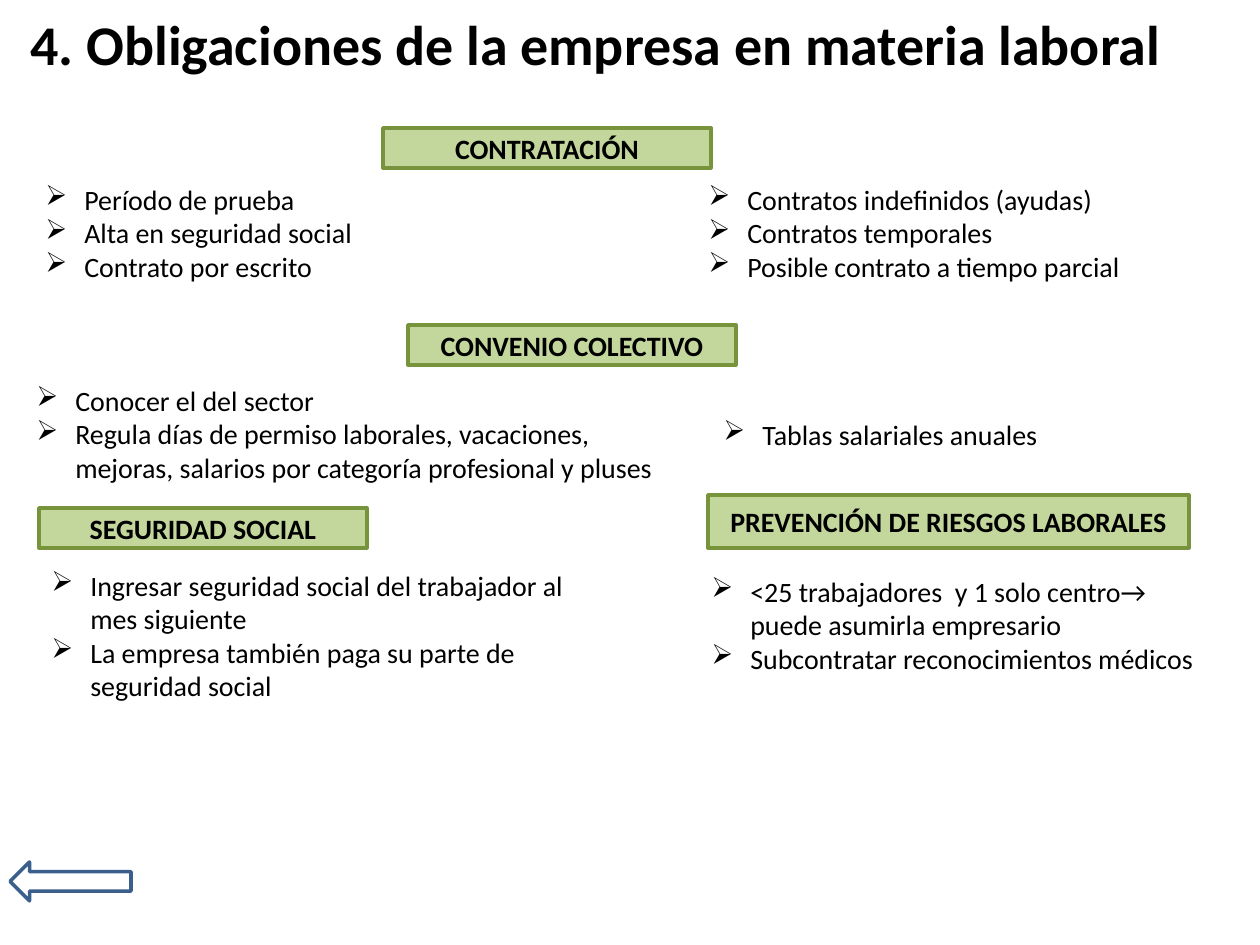
from dataclasses import dataclass
from typing import Any

from lxml.etree import SubElement
from pptx import Presentation
from pptx.dml.color import RGBColor
from pptx.enum.shapes import MSO_SHAPE as Shape
from pptx.enum.text import MSO_ANCHOR as Anchor, MSO_AUTO_SIZE as AutoSize, PP_ALIGN as Align
from pptx.oxml.ns import qn
from pptx.util import Emu, Pt

COLORS = {"text": "000000", "fill": "C3D69B", "border": "77933C", "arrow": "3A5F8C"}
PX = 914400 / 126


def px(length):
    return Emu(round(length * PX))


@dataclass
class SlideBuilder:
    """Draws the elements of the labour obligations slide in one style."""

    page: Any
    font: str = "Calibri"
    size: int = 16
    indent: int = 39

    def color(self, name):
        return RGBColor.from_string(COLORS[name])

    def set_font(self, para, size, bold=False):
        para.font.name = self.font
        para.font.size = Pt(size)
        para.font.bold = bold
        para.font.color.rgb = self.color("text")

    def text_frame(self, area):
        frame = self.page.shapes.add_textbox(*map(px, area)).text_frame
        frame.word_wrap = True
        return frame

    def title(self, text, area):
        frame = self.text_frame(area)
        frame.vertical_anchor = Anchor.MIDDLE
        para = frame.paragraphs[0]
        para.text = text
        self.set_font(para, 32, bold=True)

    def bullets(self, items, area):
        frame = self.text_frame(area)
        frame.auto_size = AutoSize.SHAPE_TO_FIT_TEXT
        for index, item in enumerate(items):
            para = frame.add_paragraph() if index else frame.paragraphs[0]
            para.text = item
            props = para._p.get_or_add_pPr()
            props.set("marL", str(px(self.indent)))
            props.set("indent", str(-px(self.indent)))
            SubElement(props, qn("a:buChar"), char="➢")
            self.set_font(para, self.size)

    def shape(self, kind, area, border, fill=None):
        shape = self.page.shapes.add_shape(kind, *map(px, area))
        shape.shadow.inherit = False
        if fill:
            shape.fill.solid()
            shape.fill.fore_color.rgb = self.color(fill)
        else:
            shape.fill.background()
        shape.line.color.rgb = self.color(border)
        shape.line.width = Pt(2)
        return shape

    def heading(self, text, area):
        frame = self.shape(Shape.RECTANGLE, area, "border", "fill").text_frame
        frame.word_wrap = True
        frame.vertical_anchor = Anchor.MIDDLE
        para = frame.paragraphs[0]
        para.text = text
        para.alignment = Align.CENTER
        self.set_font(para, self.size, bold=True)

    def back_arrow(self, area):
        self.shape(Shape.LEFT_ARROW, area, "arrow")


HEADINGS = [
    ("CONTRATACIÓN", (383, 128, 328, 40)),
    ("CONVENIO COLECTIVO", (408, 325, 328, 40)),
    ("SEGURIDAD SOCIAL", (39, 508, 328, 40)),
    ("PREVENCIÓN DE RIESGOS LABORALES", (708, 495, 481, 53)),
]
LISTS = [
    (["Período de prueba", "Alta en seguridad social", "Contrato por escrito"],
     (33, 176, 503, 115)),
    (["Contratos indefinidos (ayudas)", "Contratos temporales",
      "Posible contrato a tiempo parcial"],
     (696, 176, 445, 115)),
    (["Conocer el del sector",
      "Regula días de permiso laborales, vacaciones, mejoras, "
      "salarios por categoría profesional y pluses"],
     (24, 377, 668, 115)),
    (["Tablas salariales anuales"], (711, 411, 410, 47)),
    (["Ingresar seguridad social del trabajador al mes siguiente",
      "La empresa también paga su parte de seguridad social"],
     (39, 562, 552, 149)),
    (["<25 trabajadores  y 1 solo centro→ puede asumirla empresario",
      "Subcontratar reconocimientos médicos"],
     (699, 568, 517, 115)),
]


def main():
    deck = Presentation()
    deck.slide_width, deck.slide_height = px(1260), px(945)
    builder = SlideBuilder(deck.slides.add_slide(deck.slide_layouts[6]))
    builder.title("4. Obligaciones de la empresa en materia laboral", (18, 4, 1227, 79))
    for items, area in LISTS:
        builder.bullets(items, area)
    for text, area in HEADINGS:
        builder.heading(text, area)
    builder.back_arrow((10, 862, 121, 39))
    deck.save("out.pptx")


if __name__ == "__main__":
    main()
